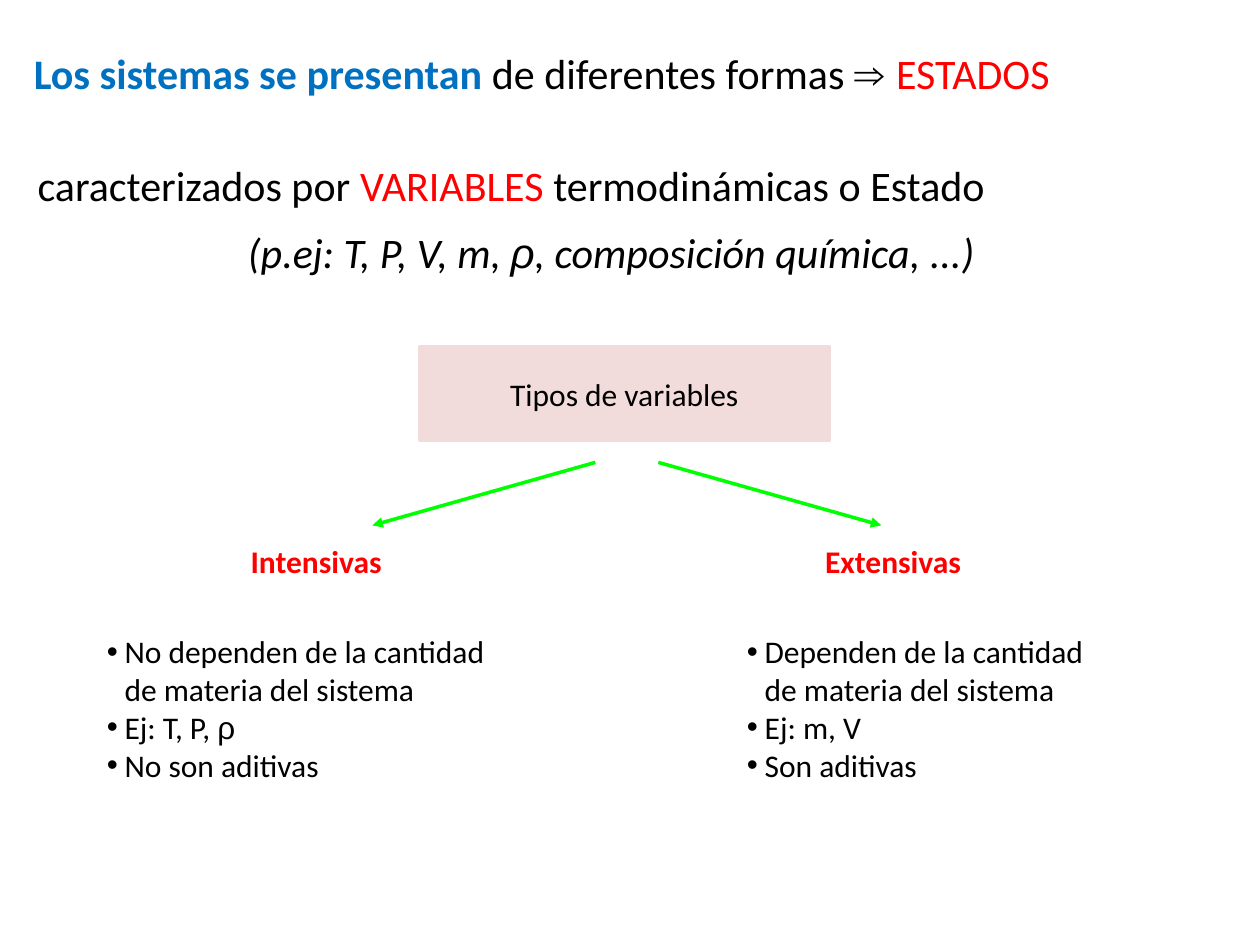
from dataclasses import dataclass

from lxml.etree import SubElement
from pptx import Presentation
from pptx.dml.color import RGBColor as RGB
from pptx.enum.shapes import MSO_CONNECTOR as Link, MSO_SHAPE as Shape
from pptx.enum.text import MSO_ANCHOR as Anchor, PP_ALIGN as Align
from pptx.oxml.ns import qn
from pptx.util import Inches, Pt


@dataclass(frozen=True)
class Theme:
    ink: str = "000000"
    red: str = "FF0000"
    blue: str = "0070C0"
    green: str = "00FF00"
    pink: str = "F2DCDB"
    font: str = "Calibri"
    sign: str = "Arial"
    big: int = 24
    body: int = 18
    hang: float = 0.14


T = Theme()


def add_run(para, text, size, color=T.ink, font=T.font, bold=False, ital=False):
    run = para.add_run()
    run.text = text
    face = run.font
    face.name, face.size = font, Pt(size)
    face.bold, face.italic = bold, ital
    face.color.rgb = RGB.from_string(color)


def add_text(slide, box):
    frame = slide.shapes.add_textbox(*map(Inches, box)).text_frame
    frame.word_wrap = True
    return frame


def indent(para, bullet):
    props = para._p.get_or_add_pPr()
    props.set("marL", str(Inches(T.hang)))
    props.set("indent", str(-Inches(T.hang) if bullet else 0))
    if bullet:
        SubElement(props, qn("a:buFont"), typeface=T.sign)
        SubElement(props, qn("a:buChar"), char="•")


def add_arrow(slide, start, end):
    line = slide.shapes.add_connector(
        Link.STRAIGHT, *map(Inches, (*start, *end)))
    line.line.color.rgb = RGB.from_string(T.green)
    line.line.width = Pt(2)
    SubElement(line.line._get_or_add_ln(), qn("a:tailEnd"), type="triangle")
    SubElement(line._element.spPr, qn("a:effectLst"))


def add_intro(slide, box):
    """Three lines on states and their variables."""
    left, top, width, high = box
    lines = [
        (0, 0, [("Los sistemas se presentan ", dict(color=T.blue, bold=True)),
                ("de diferentes formas ", {}),
                ("⇒ ", dict(font=T.sign)),
                ("ESTADOS", dict(color=T.red))]),
        (0.03, 0.89, [("caracterizados por ", {}),
                      ("VARIABLES ", dict(color=T.red)),
                      ("termodinámicas o Estado", {})]),
        (1.7, 1.42, [("(p.ej: T, P, V, m, ", dict(ital=True)),
                     ("ρ", dict(font=T.sign, ital=True)),
                     (", composición química, ...)", dict(ital=True))]),
    ]
    for dx, dy, runs in lines:
        frame = add_text(slide, (left + dx, top + dy, width - dx, high))
        for text, look in runs:
            add_run(frame.paragraphs[0], text, T.big, **look)


def add_root(slide, box):
    """Root box with an arrow to each branch."""
    left, top, width, high = box
    rect = slide.shapes.add_shape(Shape.RECTANGLE, *map(Inches, box))
    rect.shadow.inherit = False
    rect.fill.solid()
    rect.fill.fore_color.rgb = rect.line.color.rgb = RGB.from_string(T.pink)
    rect.line.width = Pt(1.75)
    frame = rect.text_frame
    frame.vertical_anchor = Anchor.MIDDLE
    para = frame.paragraphs[0]
    para.alignment = Align.CENTER
    add_run(para, "Tipos de variables", T.body)

    mid, base = left + width / 2 + 0.02, top + high + 0.17
    for side in (1, -1):
        add_arrow(slide, (mid + side * 0.25, base),
                  (mid + side * 2.02, base + 0.5))


def add_branch(slide, box, shift, title, items):
    """Red title over a list; shift is the title's offset from the left."""
    left, top, width, high = box
    head = add_text(slide, (left + shift, top, 1.45, 0.4))
    add_run(head.paragraphs[0], title, T.body, T.red, bold=True)

    frame = add_text(slide, (left, top + 0.72, width, high - 0.72))
    for i, (bullet, runs) in enumerate(items):
        para = frame.add_paragraph() if i else frame.paragraphs[0]
        indent(para, bullet)
        for text, font in runs:
            add_run(para, text, T.body, font=font)


def main():
    deck = Presentation()
    deck.slide_width, deck.slide_height = Inches(10), Inches(7.5)
    slide = deck.slides.add_slide(deck.slide_layouts[6])

    add_intro(slide, (0.17, 0.33, 9.4, 0.51))
    add_root(slide, (3.33, 2.75, 3.25, 0.75))

    more = (False, [("de materia del sistema", T.font)])
    add_branch(slide, (0.75, 4.25, 4.09, 2.03), 1.14, "Intensivas", [
        (True, [("No dependen de la cantidad", T.font)]),
        more,
        (True, [("Ej: T, P, ", T.font), ("ρ", T.sign)]),
        (True, [("No son aditivas", T.font)]),
    ])
    add_branch(slide, (5.83, 4.25, 3.68, 2.03), 0.62, "Extensivas", [
        (True, [("Dependen de la cantidad", T.font)]),
        more,
        (True, [("Ej: m, V", T.font)]),
        (True, [("Son aditivas", T.font)]),
    ])
    deck.save("out.pptx")


if __name__ == "__main__":
    main()
